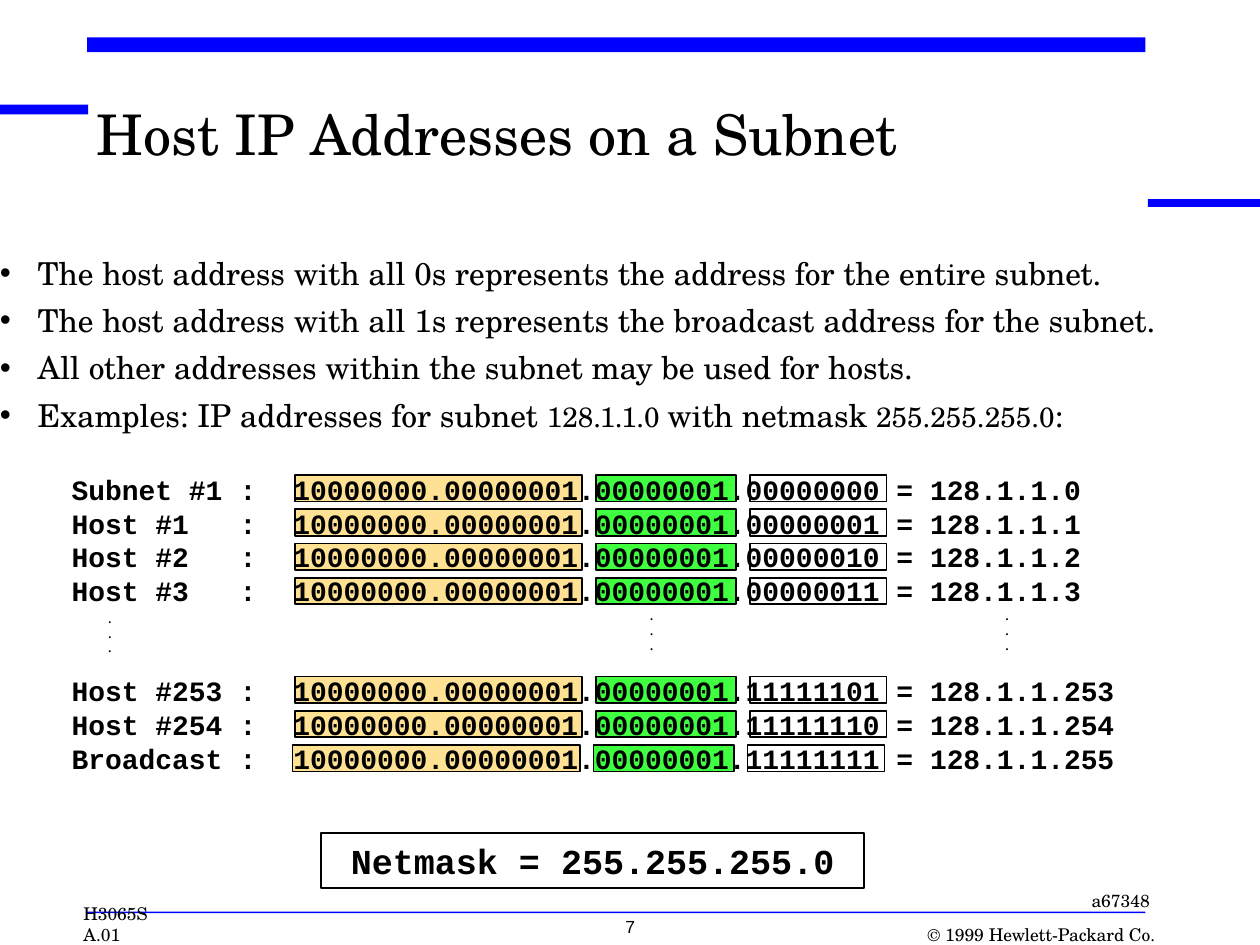
from lxml import etree
from pptx import Presentation
from pptx.dml.color import RGBColor
from pptx.enum.shapes import MSO_SHAPE
from pptx.enum.text import MSO_ANCHOR, MSO_AUTO_SIZE, PP_ALIGN
from pptx.oxml.ns import qn
from pptx.util import Pt

LEFT, CENTER, RIGHT = PP_ALIGN.LEFT, PP_ALIGN.CENTER, PP_ALIGN.RIGHT
TOP, MIDDLE, BOTTOM = MSO_ANCHOR.TOP, MSO_ANCHOR.MIDDLE, MSO_ANCHOR.BOTTOM
RECTANGLE = MSO_SHAPE.RECTANGLE
BLACK = RGBColor(0x00, 0x00, 0x00)
BLUE = RGBColor(0x00, 0x00, 0xFF)
ORANGE = RGBColor(0xFF, 0xE1, 0x93)
GREEN = RGBColor(0x40, 0xFF, 0x40)
SERIF, MONO = "TeX Gyre Schola", "Courier New"

# Content
TITLE = "Host IP Addresses on a Subnet"
BULLETS = [  # each bullet is a list of (text, size)
    [("The host address with all 0s represents the address for the entire subnet.", 18)],
    [("The host address with all 1s represents the broadcast address for the subnet.", 18)],
    [("All other addresses within the subnet may be used for hosts.", 18)],
    [("Examples: IP addresses for subnet ", 18), ("128.1.1.0 ", 16),
     ("with netmask ", 18), ("255.255.255.0", 16), (":", 18)],
]
FIRST_HOSTS = [
    ("Subnet #1", "128.1.1.0"),
    ("Host #1", "128.1.1.1"),
    ("Host #2", "128.1.1.2"),
    ("Host #3", "128.1.1.3"),
]
LAST_HOSTS = [
    ("Host #253", "128.1.1.253"),
    ("Host #254", "128.1.1.254"),
    ("Broadcast", "128.1.1.255"),
]
NETMASK = "Netmask = 255.255.255.0"

# Layout, in points
BARS = [(0, 59.8, 50.4, 5.6), (49.8, 21.4, 604.8, 8.5),
        (656, 113.8, 64.8, 4.4), (49.8, 521, 604.8, 0.8)]
FIELDS = [(168.4, 164.4, ORANGE), (340.4, 80.2, GREEN), (428.4, 78.2, None)]
GROUP_TOPS = [(271.4, FIRST_HOSTS), (386.6, LAST_HOSTS)]
FIELD_PITCH, FIELD_HEIGHT, BROADCAST_SHIFT = 19.6, 15.2, -1.2
LINE_PITCH = 19.2
COLON_TAB, BITS_TAB = 96, 126.7
DOTS = [(54.7, 345.6), (364.3, 344.2), (567.4, 344.2)]
FOOTERS = [  # text, frame, alignment, anchor, font
    ("a67348", (580, 508.8, 77, 12.2), RIGHT, TOP, SERIF),
    ("© 1999 Hewlett-Packard Co.", (500, 527.8, 160, 12.2), RIGHT, BOTTOM, SERIF),
    ("H3065S A.01", (47.6, 527.8, 59, 12.2), LEFT, BOTTOM, SERIF),
    ("7", (285.2, 523.6, 149.8, 16), CENTER, TOP, "Arial"),
]


def style(font, name, size, bold=False):
    font.name, font.size, font.bold = name, Pt(size), bold
    font.color.rgb = BLACK


def prepare(frame, anchor=TOP):
    frame.margin_left = frame.margin_right = 0
    frame.margin_top = frame.margin_bottom = 0
    frame.word_wrap = True
    frame.auto_size = MSO_AUTO_SIZE.NONE
    frame.vertical_anchor = anchor


def add_text(page, place, text, name, size, bold=False, align=LEFT, anchor=TOP):
    box = page.shapes.add_textbox(*map(Pt, place))
    frame = box.text_frame
    prepare(frame, anchor)
    frame.text = text
    for para in frame.paragraphs:
        para.alignment = align
        for span in para.runs:
            style(span.font, name, size, bold)
    return frame


def add_rectangle(page, place, fill=None, line=None):
    shape = page.shapes.add_shape(RECTANGLE, *map(Pt, place))
    shape.shadow.inherit = False
    if fill is None:
        shape.fill.background()
    else:
        shape.fill.solid()
        shape.fill.fore_color.rgb = fill
    if line is None:
        shape.line.fill.background()
    else:
        shape.line.color.rgb = line
        shape.line.width = Pt(1)
    return shape


def add_bullet(para, indent):
    properties = para._p.get_or_add_pPr()
    properties.set("marL", str(Pt(indent)))
    properties.set("indent", str(-Pt(indent)))
    etree.SubElement(properties, qn("a:buFont"), typeface="Arial")
    etree.SubElement(properties, qn("a:buChar"), char="•")


def add_tabs(para, stops):
    tabs = etree.SubElement(para._p.get_or_add_pPr(), qn("a:tabLst"))
    for stop in stops:
        etree.SubElement(tabs, qn("a:tab"), pos=str(Pt(stop)), algn="l")


def host_line(name, address):
    bits = ".".join(f"{int(octet):08b}" for octet in address.split("."))
    return f"{name}\t:\t{bits} = {address}"


deck = Presentation()
deck.slide_width, deck.slide_height = Pt(720), Pt(540)
page = deck.slides.add_slide(deck.slide_layouts[5])

# Blue bars
for bar in BARS:
    add_rectangle(page, bar, fill=BLUE)

# Title
title = page.shapes.title
title.left, title.top, title.width, title.height = map(Pt, (55.4, 62.6, 581, 48.2))
prepare(title.text_frame)
title.text_frame.text = TITLE
heading = title.text_frame.paragraphs[0]
heading.alignment, heading.line_spacing = LEFT, 0.85
style(heading.runs[0].font, SERIF, 32)

# Bullets
frame = add_text(page, (0, 139.7, 690, 108), "", SERIF, 18)
for index, spans in enumerate(BULLETS):
    para = frame.add_paragraph() if index else frame.paragraphs[0]
    para.line_spacing = 1.25
    add_bullet(para, 21.5)
    for text, size in spans:
        span = para.add_run()
        span.text = text
        style(span.font, SERIF, size)

# Address fields: network, subnet and host part of each row
for group_top, hosts in GROUP_TOPS:
    for row, (name, address) in enumerate(hosts):
        shift = BROADCAST_SHIFT if name == "Broadcast" else 0
        for left, width, fill in FIELDS:
            place = (left + shift, group_top + row * FIELD_PITCH, width, FIELD_HEIGHT)
            add_rectangle(page, place, fill, BLACK)

# Address lines
lines = [host_line(*host) for host in FIRST_HOSTS + LAST_HOSTS]
frame = add_text(page, (41, 270, 599, 172.8), "\n".join(lines), MONO, 16, True)
for para in frame.paragraphs:
    para.line_spacing = Pt(LINE_PITCH)
    add_tabs(para, (COLON_TAB, BITS_TAB))
frame.paragraphs[len(FIRST_HOSTS)].space_before = Pt(2 * LINE_PITCH)

# Vertical ellipses
for left, top in DOTS:
    frame = add_text(page, (left + 7.2, top + 3.6, 8, 25.2), ".\n.\n.", "Times New Roman", 7, True)
    for para in frame.paragraphs:
        para.line_spacing = Pt(8.4)

# Netmask
netmask = add_rectangle(page, (183.6, 475.9, 310.3, 31.7), line=BLACK)
prepare(netmask.text_frame, MIDDLE)
netmask.text_frame.text = NETMASK
netmask.text_frame.paragraphs[0].alignment = CENTER
style(netmask.text_frame.paragraphs[0].runs[0].font, MONO, 20, True)

# Footer
for text, place, align, anchor, name in FOOTERS:
    add_text(page, place, text, name, 10, align=align, anchor=anchor)

deck.save("out.pptx")
